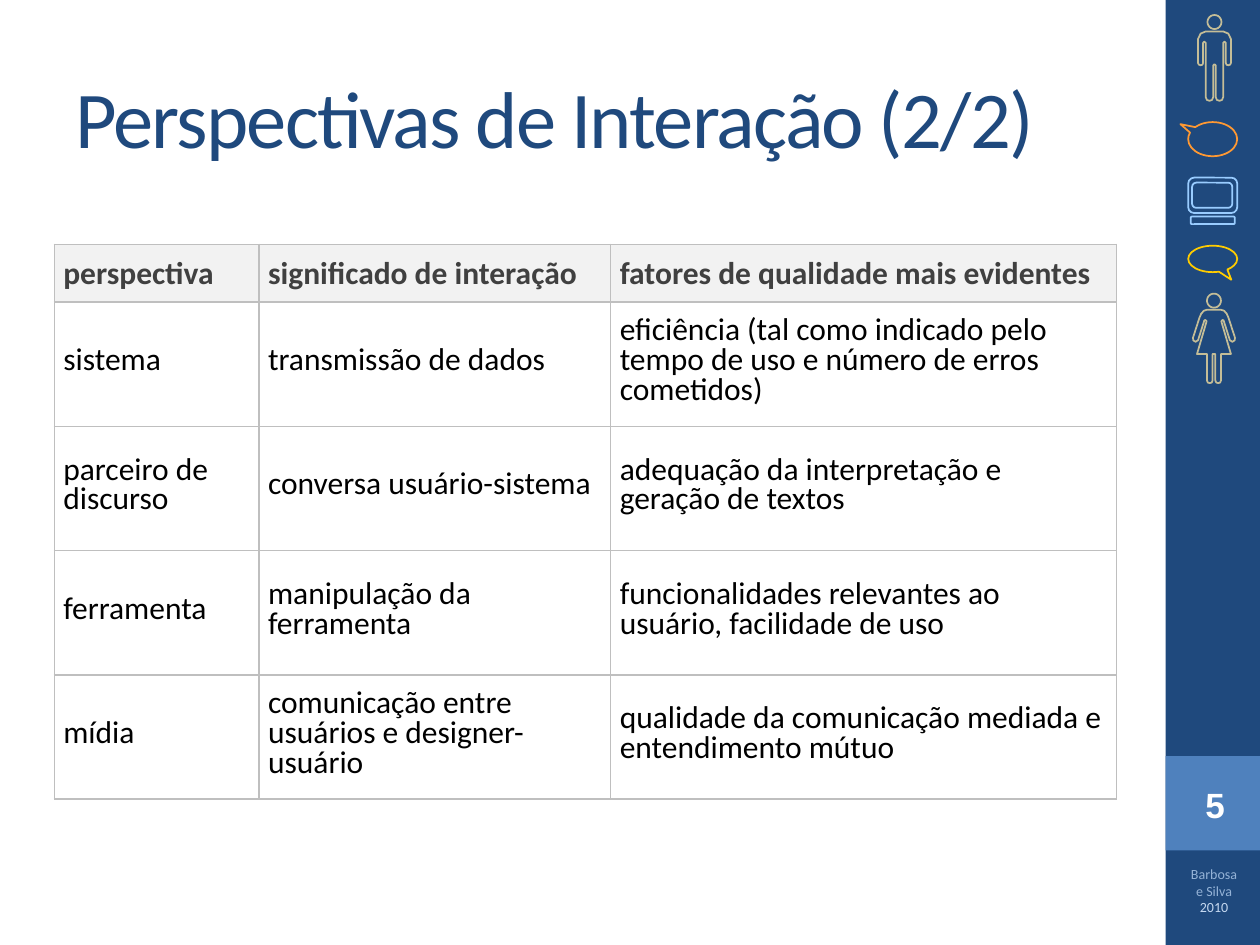
import math
from dataclasses import dataclass
from lxml import etree
from pptx import Presentation
from pptx import util as u
from pptx.dml.color import RGBColor
from pptx.enum import shapes, text
from pptx.oxml.ns import qn

Pt = u.Pt
KIND = shapes.MSO_SHAPE
MID = text.MSO_ANCHOR.MIDDLE
MIDDLE = text.PP_ALIGN.CENTER


@dataclass
class Theme:
    navy: str = "1F497D"
    blue: str = "4F81BD"
    tan: str = "C4BD97"
    orange: str = "FF9933"
    sky: str = "99CCFF"
    gold: str = "FFCC00"
    white: str = "FFFFFF"
    pale: str = "95B3D7"
    light: str = "C6D9F1"
    gray: str = "F2F2F2"
    dark: str = "404040"
    black: str = "000000"
    rule: str = "BFBFBF"
    font: str = "Calibri"
    digit: str = "Arial"
    title: int = 46
    number: int = 20
    body: int = 18
    small: int = 8


class Deck:
    def __init__(self, slide, theme):
        self.slide, self.theme = slide, theme

    def style(self, run, size, color, bold=False, font=None):
        run.font.size, run.font.bold = Pt(size), bold
        run.font.name = font or self.theme.font
        run.font.color.rgb = RGBColor.from_string(color)

    def paint(self, shape, fill=None, line=None):
        shape.shadow.inherit = False
        if fill:
            shape.fill.solid()
            shape.fill.fore_color.rgb = RGBColor.from_string(fill)
        else:
            shape.fill.background()
        if line:
            shape.line.color.rgb = RGBColor.from_string(line)
            shape.line.width = Pt(1)
        else:
            shape.line.fill.background()

    def shape(self, kind, box, fill=None, line=None, adjust=()):
        item = self.slide.shapes.add_shape(kind, *map(Pt, box))
        for i, value in enumerate(adjust):
            item.adjustments[i] = value
        self.paint(item, fill, line)

    def figure(self, mid, head, half, line):
        """Draw a head and a body mirrored about the middle."""
        ring = [(mid + 4 * math.cos(a), head + 4 * math.sin(a))
                for a in (math.tau * i / 24 for i in range(24))]
        body = [(mid + x, y) for x, y in half]
        body += [(mid - x, y) for x, y in reversed(half)]
        rings = [[(Pt(x), Pt(y)) for x, y in part] for part in (ring, body)]
        pen = self.slide.shapes.build_freeform(*rings[0][0], scale=1.0)
        pen.add_line_segments(rings[0][1:], close=True)
        pen.move_to(*rings[1][0])
        pen.add_line_segments(rings[1][1:], close=True)
        self.paint(pen.convert_to_shape(), line=line)

    def label(self, box, parts, size, align=None, anchor=None, bold=False,
              font=None, track=None):
        """Add one paragraph made of (words, color) parts."""
        frame = self.slide.shapes.add_textbox(*map(Pt, box)).text_frame
        frame.word_wrap = True
        frame.vertical_anchor = anchor
        para = frame.paragraphs[0]
        para.alignment = align
        for words, color in parts:
            run = para.add_run()
            run.text = words
            self.style(run, size, color, bold, font)
            if track:
                run.font._element.set("spc", str(track))

    def border(self, cell):
        props = cell._tc.get_or_add_tcPr()
        for i, side in enumerate(("a:lnL", "a:lnR", "a:lnT", "a:lnB")):
            edge = etree.Element(qn(side), w=str(Pt(1)))
            fill = etree.SubElement(edge, qn("a:solidFill"))
            etree.SubElement(fill, qn("a:srgbClr"), val=self.theme.rule)
            props.insert(i, edge)

    def table(self, left, top, cols, rows, data):
        t = self.theme
        box = map(Pt, (left, top, sum(cols), sum(rows)))
        grid = self.slide.shapes.add_table(len(rows), len(cols), *box).table
        grid.first_row = grid.horz_banding = False
        for col, width in zip(grid.columns, cols):
            col.width = Pt(width)
        for r, (height, line) in enumerate(zip(rows, data)):
            grid.rows[r].height = Pt(height)
            for c, words in enumerate(line):
                cell = grid.cell(r, c)
                cell.vertical_anchor = MID
                cell.margin_left = cell.margin_right = Pt(5.2)
                cell.margin_top = cell.margin_bottom = 0
                para = cell.text_frame.paragraphs[0]
                para.text = words
                if r == 0:
                    cell.fill.solid()
                    cell.fill.fore_color.rgb = RGBColor.from_string(t.gray)
                else:
                    cell.fill.background()
                    para.line_spacing = Pt(17)
                color = t.black if r else t.dark
                self.style(para.runs[0], t.body, color, bold=r == 0)
                self.border(cell)


MAN = [(5, 18), (7.9, 19.2), (9.4, 22.3), (9.4, 36), (8.9, 37), (7.9, 37.3),
       (6.9, 37), (6.5, 36), (6.5, 24.5), (5.8, 23.8), (5, 24.5), (5, 55.5),
       (4.3, 57.1), (2.9, 57.6), (1.4, 57.1), (0.7, 55.5), (0.7, 37.4),
       (0.3, 36.9)]
WOMAN = [(4, 177), (5.8, 177.6), (7.3, 179.3), (8.3, 181.6), (12, 193),
         (11.8, 194.5), (10.5, 195.3), (9.1, 194.4), (5.5, 183.1),
         (4.9, 182.8), (4.2, 183.6), (9.7, 202.3), (4, 202.3), (4, 217.4),
         (3.5, 218.6), (2.4, 218.9), (1.3, 218.6), (0.8, 217.4), (0.8, 202.3)]
ROWS = [
    ("perspectiva", "significado de interação",
     "fatores de qualidade mais evidentes"),
    ("sistema", "transmissão de dados",
     "eficiência (tal como indicado pelo tempo de uso e número de erros "
     "cometidos)"),
    ("parceiro de discurso", "conversa usuário-sistema",
     "adequação da interpretação e geração de textos"),
    ("ferramenta", "manipulação da ferramenta",
     "funcionalidades relevantes ao usuário, facilidade de uso"),
    ("mídia", "comunicação entre usuários e designer-usuário",
     "qualidade da comunicação mediada e entendimento mútuo"),
]

show = Presentation()
show.slide_width, show.slide_height = Pt(720), Pt(540)
t = Theme()
deck = Deck(show.slides.add_slide(show.slide_layouts[6]), t)

# Side band
deck.shape(KIND.RECTANGLE, (666, 0, 54, 540), t.navy)
deck.shape(KIND.RECTANGLE, (666, 432, 54, 54), t.blue)

# People, speech balloons and computer
deck.figure(693.7, 171.8, WOMAN, t.tan)
deck.figure(694, 12.6, MAN, t.tan)
for box, color, tail in (((679, 69.8, 28, 19.5), t.orange, (-0.66, -0.44)),
                         ((679, 140.4, 28, 15.1), t.gold, (0.38, 0.79))):
    deck.shape(KIND.OVAL_CALLOUT, box, line=color, adjust=tail)
for box in ((679, 101.5, 28, 20.2), (681.2, 104.4, 23, 14.4),
            (680.4, 123.8, 25.2, 4.3)):
    deck.shape(KIND.ROUNDED_RECTANGLE, box, line=t.sky)

# Page number and credit
deck.label((670.3, 444.2, 48.2, 31.7), [("5", t.white)], t.number, MIDDLE,
           bold=True, font=t.digit)
deck.label((671.8, 491, 44, 39.6),
           [("Barbosa e Silva ", t.pale), ("2010", t.light)], t.small, MIDDLE)

# Title and table
deck.label((36, 21.6, 600, 90), [("Perspectivas de Interação (2/2)", t.navy)],
           t.title, anchor=MID, track=-100)
deck.table(31, 139.7, (117, 201, 289), (33, 71, 71, 71, 71), ROWS)

show.save("out.pptx")
